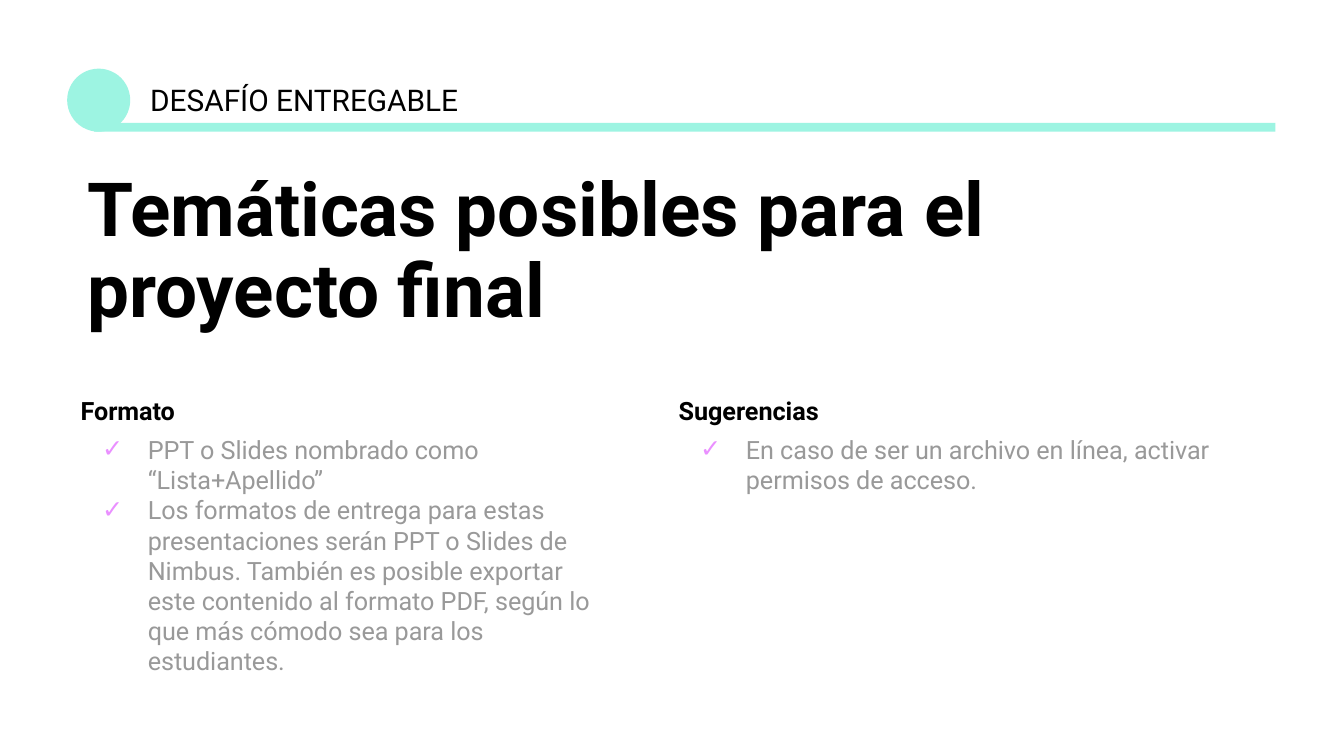
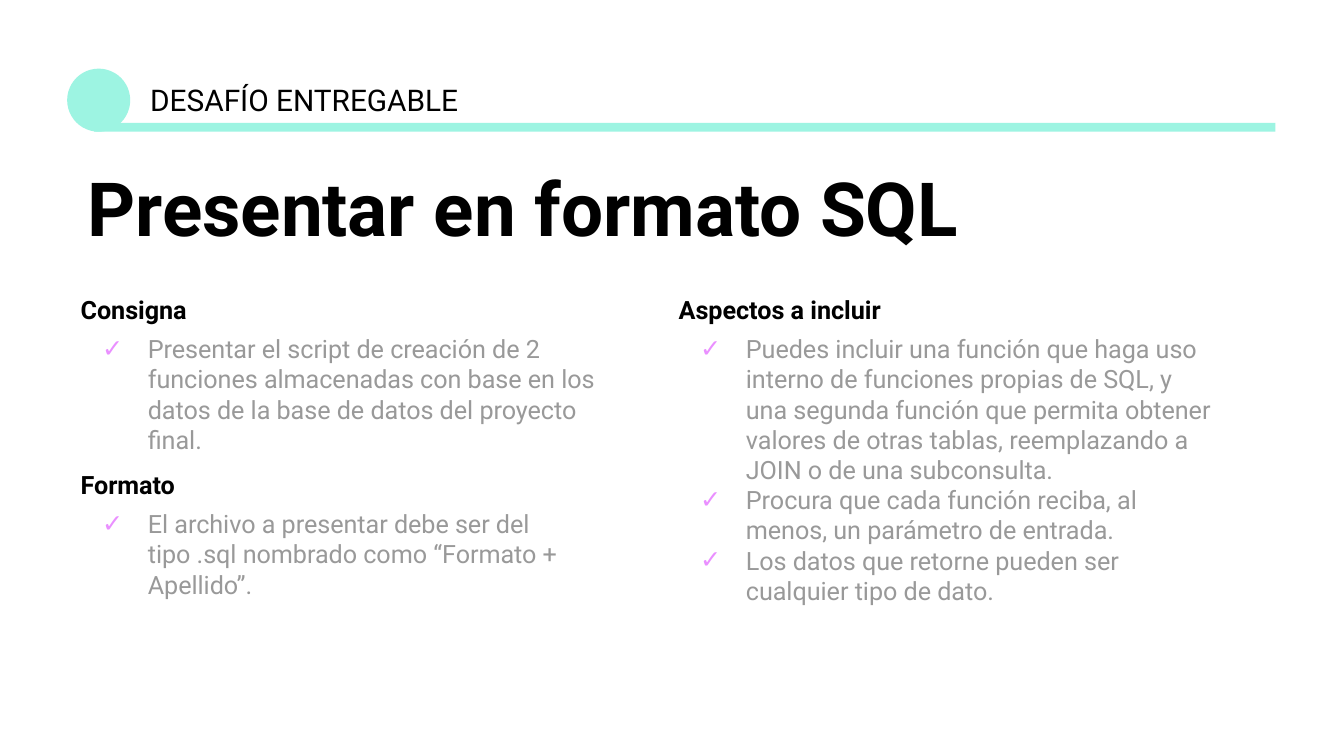
from pptx import Presentation
from pptx.util import Pt
from pptx.dml.color import RGBColor
from pptx.enum.shapes import MSO_SHAPE
from pptx.enum.text import MSO_ANCHOR, MSO_AUTO_SIZE, PP_ALIGN
from pptx.oxml.ns import qn
from lxml.etree import SubElement

COLORS = {"ink": "000000", "body": "999999", "check": "EA90FF",
          "mint": "9DF4E2", "paper": "FFFFFF"}
FONT = "Roboto"
MARGIN = 36
COL_STEP = 320.4
COL_WIDTH = 301.7

SLIDES = [
    {"title": "Temáticas posibles para el proyecto final",
     "title_height": 101.5,
     "top": 204.5,
     "columns": [
         (167, [("Formato", [
             "PPT o Slides nombrado como “Lista+Apellido”",
             "Los formatos de entrega para estas presentaciones serán PPT o "
             "Slides de Nimbus. También es posible exportar este contenido al "
             "formato PDF, según lo que más cómodo sea para los estudiantes."])]),
         (68.4, [("Sugerencias", [
             "En caso de ser un archivo en línea, activar permisos de acceso."])]),
     ]},
    {"title": "Presentar en formato SQL",
     "title_height": 58.3,
     "top": 150.5,
     "columns": [
         (180, [
             ("Consigna", [
                 "Presentar el script de creación de 2 funciones almacenadas con "
                 "base en los datos de la base de datos del proyecto final."]),
             ("Formato", [
                 "El archivo a presentar debe ser del tipo .sql nombrado como "
                 "“Formato + Apellido”."])]),
         (199.4, [("Aspectos a incluir", [
             "Puedes incluir una función que haga uso interno de funciones "
             "propias de SQL, y una segunda función que permita obtener valores "
             "de otras tablas, reemplazando a JOIN o de una subconsulta.",
             "Procura que cada función reciba, al menos, un parámetro de entrada.",
             "Los datos que retorne pueden ser cualquier tipo de dato."])]),
     ]},
]


def rgb(name):
    return RGBColor.from_string(COLORS[name])


def place(shape, box):
    """Move a text shape to box and give its frame the shared settings."""
    shape.left, shape.top, shape.width, shape.height = map(Pt, box)
    frame = shape.text_frame
    frame.word_wrap = True
    frame.auto_size = MSO_AUTO_SIZE.NONE
    frame.vertical_anchor = MSO_ANCHOR.TOP
    frame.margin_left = frame.margin_right = Pt(7.2)
    frame.margin_top = frame.margin_bottom = Pt(7.2)
    return frame


def mark(para, check):
    """Give a paragraph a check mark, or clear the inherited bullet."""
    props = para._p.get_or_add_pPr()
    props.set("marL", str(Pt(36) if check else 0))
    props.set("indent", str(Pt(-24.5) if check else 0))
    if check:
        color = SubElement(props, qn("a:buClr"))
        SubElement(color, qn("a:srgbClr"), val=COLORS["check"])
        SubElement(props, qn("a:buFont"), typeface=FONT)
        SubElement(props, qn("a:buChar"), char="✓")
    else:
        SubElement(props, qn("a:buNone"))


def write(frame, text, size=13.5, color="ink", bold=False, check=False,
          before=0, after=0, line=1.0):
    """Add a paragraph, using the first one while it is still empty."""
    first = frame.paragraphs[0]
    para = frame.add_paragraph() if first.runs else first
    mark(para, check)
    para.alignment = PP_ALIGN.LEFT
    para.line_spacing = line
    para.space_before, para.space_after = Pt(before), Pt(after)
    run = para.add_run()
    run.text = text
    font = run.font
    font.name, font.size, font.bold = FONT, Pt(size), bold
    font.color.rgb = rgb(color)


def draw(slide, kind, box):
    shape = slide.shapes.add_shape(kind, *map(Pt, box))
    shape.shadow.inherit = False
    shape.fill.solid()
    shape.fill.fore_color.rgb = rgb("mint")
    shape.line.fill.background()


def add_band(slide, left, top, width, height):
    draw(slide, MSO_SHAPE.OVAL, (left, top, height, height))
    bar = 4.8
    inset = 14.4
    draw(slide, MSO_SHAPE.RECTANGLE,
         (left + inset, top + height - bar, width - inset, bar))
    label = slide.shapes.add_textbox(0, 0, 0, 0)
    frame = place(label, (left + 37.4, top, 193.7, height))
    write(frame, "DESAFÍO ENTREGABLE", size=16)


def add_column(holder, box, groups):
    frame = place(holder, box)
    for rank, (head, items) in enumerate(groups):
        write(frame, head, bold=True, before=8 if rank else 0, after=4.8)
        for item in items:
            write(frame, item, color="body", check=True)


def add_page(deck, page):
    slide = deck.slides.add_slide(deck.slide_layouts[3])
    slide.background.fill.solid()
    slide.background.fill.fore_color.rgb = rgb("paper")
    add_band(slide, MARGIN, 36.8, 647.3, 33.8)
    frame = place(slide.shapes.title, (39.6, 85, 575.3, page["title_height"]))
    write(frame, page["title"], size=40, bold=True, line=0.9)
    for rank, (height, groups) in enumerate(page["columns"]):
        box = (MARGIN + rank * COL_STEP, page["top"], COL_WIDTH, height)
        add_column(slide.placeholders[rank + 1], box, groups)


def main():
    deck = Presentation()
    deck.slide_width, deck.slide_height = Pt(720), Pt(405)
    for page in SLIDES:
        add_page(deck, page)
    deck.save("out.pptx")


if __name__ == "__main__":
    main()
